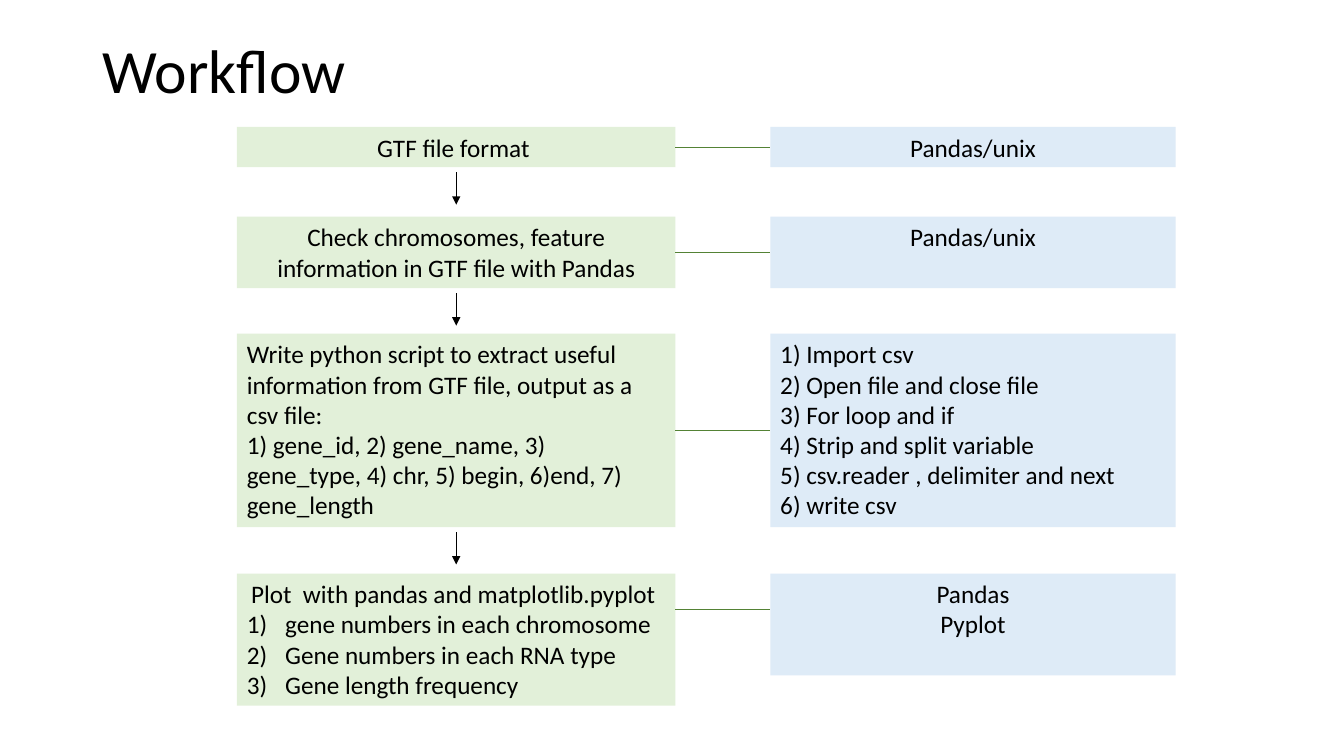
from dataclasses import dataclass

from lxml.etree import SubElement
from pptx import Presentation
from pptx.dml.color import RGBColor
from pptx.enum.shapes import MSO_CONNECTOR, MSO_SHAPE
from pptx.enum.text import MSO_ANCHOR, PP_ALIGN
from pptx.oxml.ns import qn
from pptx.shapes.autoshape import Shape
from pptx.shapes.connector import Connector
from pptx.slide import Slide
from pptx.text.text import _Paragraph
from pptx.util import Inches, Pt


@dataclass(frozen=True)
class Theme:
    font: str = "Calibri"
    title: int = 44
    body: int = 18
    rule: float = 0.5
    ink: str = "000000"
    step: str = "E2F0D9"
    tool: str = "DEEBF7"
    link: str = "548235"


@dataclass(frozen=True)
class Column:
    left: float
    width: float
    fill: str


@dataclass(frozen=True)
class Line:
    text: str
    center: bool = False
    number: bool = False


@dataclass(frozen=True)
class Row:
    top: float
    height: float
    step: list[Line]
    tool: list[Line]
    tool_height: float | None = None
    link_y: float | None = None  # only where the link misses the side middles


THEME = Theme()
STEPS = Column(2.35, 4.35, THEME.step)
TOOLS = Column(7.64, 4.02, THEME.tool)
GAP, ARROW = 0.05, 0.32
INDENT = 0.38

ROWS = [
    Row(1.26, 0.4,
        [Line("GTF file format ", center=True)],
        [Line("Pandas/unix", center=True)]),
    Row(2.15, 0.71,
        [Line("Check chromosomes, feature information in GTF file with Pandas",
              center=True)],
        [Line("Pandas/unix", center=True)]),
    Row(3.31, 1.92,
        [Line("Write python script to extract useful information from GTF file, "
              "output as a csv file:"),
         Line("1) gene_id, 2) gene_name, 3) gene_type, 4) chr, 5) begin, "
              "6)end, 7) gene_length")],
        [Line("1) Import csv"),
         Line("2) Open file and close file"),
         Line("3) For loop and if"),
         Line("4) Strip and split variable"),
         Line("5) csv.reader , delimiter and next"),
         Line("6) write csv")]),
    Row(5.69, 1.31,
        [Line("Plot  with pandas and matplotlib.pyplot ", center=True),
         Line("gene numbers in each chromosome", number=True),
         Line("Gene numbers in each RNA type", number=True),
         Line("Gene length frequency", number=True)],
        [Line("Pandas", center=True), Line("Pyplot", center=True)],
        tool_height=1.01, link_y=6.05),
]


def style(para: _Paragraph, size: int) -> None:
    para.font.name = THEME.font
    para.font.size = Pt(size)
    para.font.color.rgb = RGBColor.from_string(THEME.ink)


def number(para: _Paragraph) -> None:
    """Give the paragraph a hanging 1) 2) 3) number."""
    props = para._p.get_or_add_pPr()
    props.set("marL", str(Inches(INDENT)))
    props.set("indent", str(-Inches(INDENT)))
    SubElement(props, qn("a:buFont"), typeface="+mj-lt")
    SubElement(props, qn("a:buAutoNum"), type="arabicParenR")


def add_title(slide: Slide, text: str) -> None:
    box = slide.shapes.add_textbox(Inches(0.92), 0, Inches(11.5), Inches(1.45))
    frame = box.text_frame
    frame.word_wrap = True
    frame.vertical_anchor = MSO_ANCHOR.MIDDLE
    para = frame.paragraphs[0]
    para.text = text
    para.line_spacing = 0.9
    style(para, THEME.title)


def add_box(slide: Slide, col: Column, top: float, height: float,
            lines: list[Line]) -> Shape:
    box = slide.shapes.add_shape(
        MSO_SHAPE.RECTANGLE, Inches(col.left), Inches(top),
        Inches(col.width), Inches(height))
    box.shadow.inherit = False
    box.fill.solid()
    box.fill.fore_color.rgb = RGBColor.from_string(col.fill)
    box.line.fill.background()
    frame = box.text_frame
    frame.word_wrap = True
    frame.vertical_anchor = MSO_ANCHOR.TOP
    for i, line in enumerate(lines):
        para = frame.add_paragraph() if i else frame.paragraphs[0]
        para.text = line.text
        para.alignment = PP_ALIGN.CENTER if line.center else PP_ALIGN.LEFT
        style(para, THEME.body)
        if line.number:
            number(para)
    return box


def add_rule(slide: Slide, x1: float, y1: float, x2: float, y2: float,
             color: str) -> Connector:
    rule = slide.shapes.add_connector(
        MSO_CONNECTOR.STRAIGHT, Inches(x1), Inches(y1), Inches(x2), Inches(y2))
    rule.line.width = Pt(THEME.rule)
    rule.line.color.rgb = RGBColor.from_string(color)
    SubElement(rule._element.spPr, qn("a:effectLst"))
    return rule


def add_arrow(slide: Slide, row: Row) -> None:
    """Point from below the row's step to the next one."""
    x = STEPS.left + STEPS.width / 2
    y = row.top + row.height + GAP
    arrow = add_rule(slide, x, y, x, y + ARROW, THEME.ink)
    SubElement(arrow.line._get_or_add_ln(), qn("a:tailEnd"), type="triangle")


def add_row(slide: Slide, row: Row) -> None:
    step = add_box(slide, STEPS, row.top, row.height, row.step)
    tool = add_box(slide, TOOLS, row.top, row.tool_height or row.height, row.tool)
    y = row.link_y or row.top + row.height / 2
    link = add_rule(slide, STEPS.left + STEPS.width, y, TOOLS.left, y, THEME.link)
    if row.link_y is None:
        link.begin_connect(step, 3)
        link.end_connect(tool, 1)


def main() -> None:
    deck = Presentation()
    deck.slide_width, deck.slide_height = Inches(13.33), Inches(7.5)
    slide = deck.slides.add_slide(deck.slide_layouts[6])
    add_title(slide, "Workflow")
    for row in ROWS:
        add_row(slide, row)
    for row in ROWS[:-1]:
        add_arrow(slide, row)
    deck.save("out.pptx")


if __name__ == "__main__":
    main()
